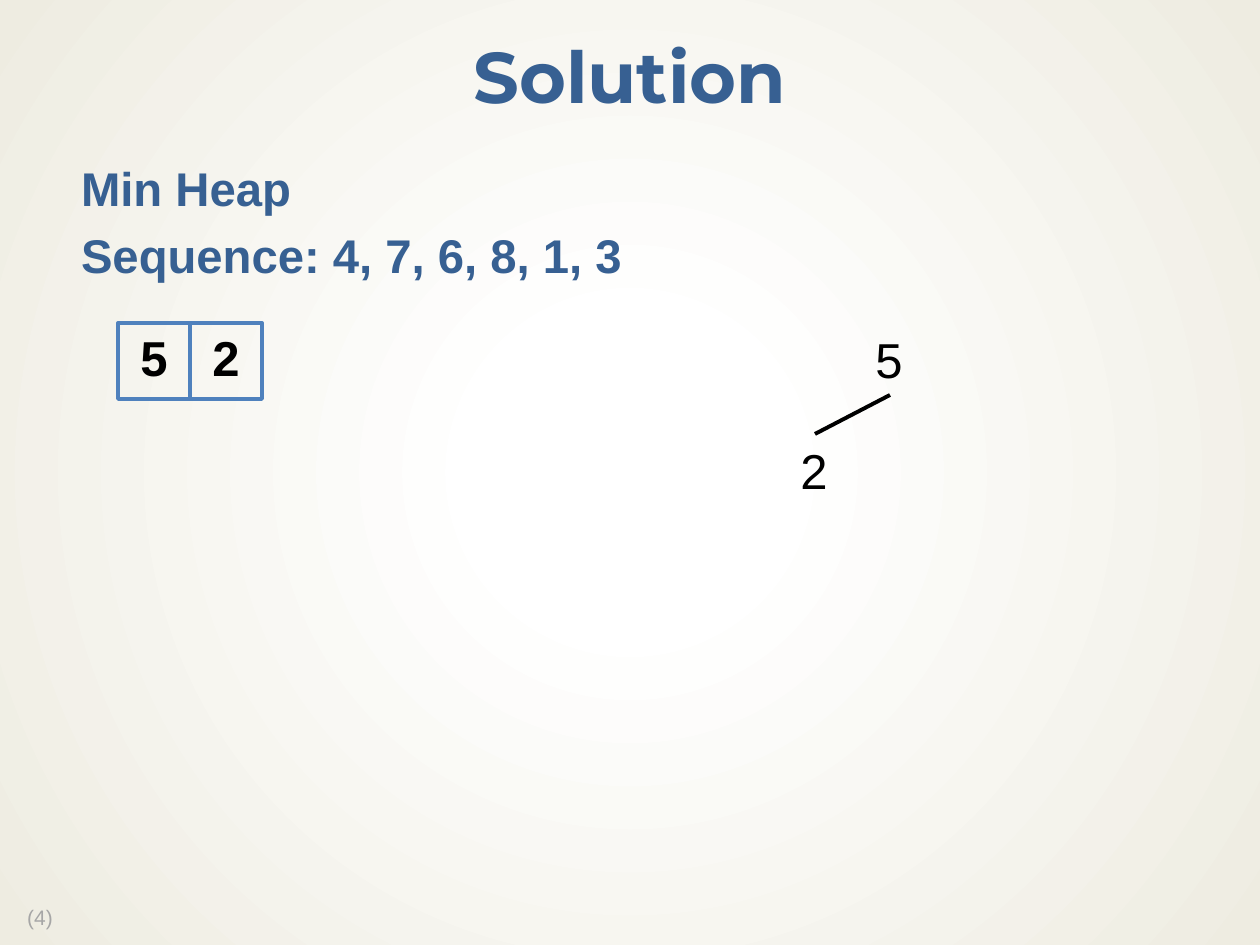
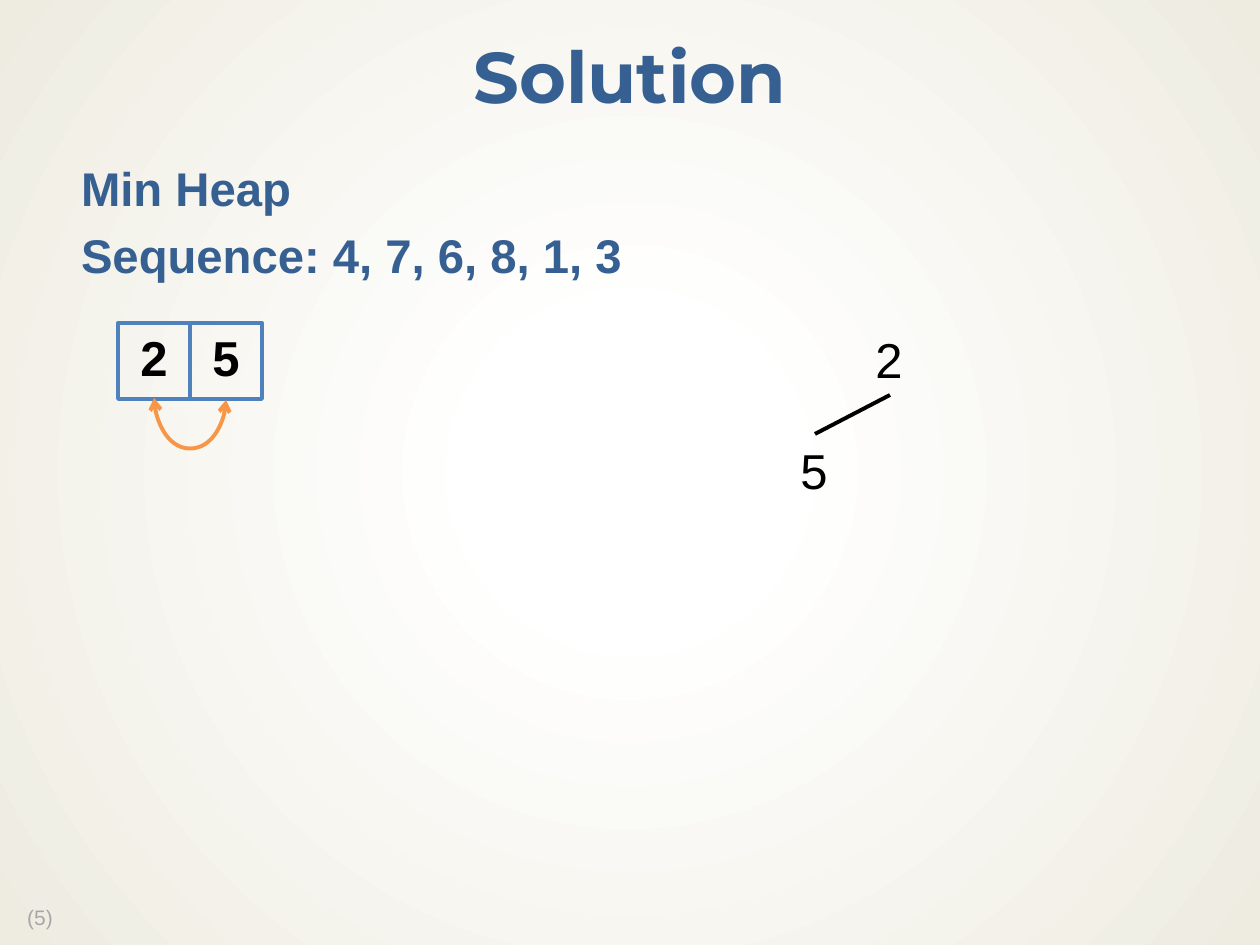
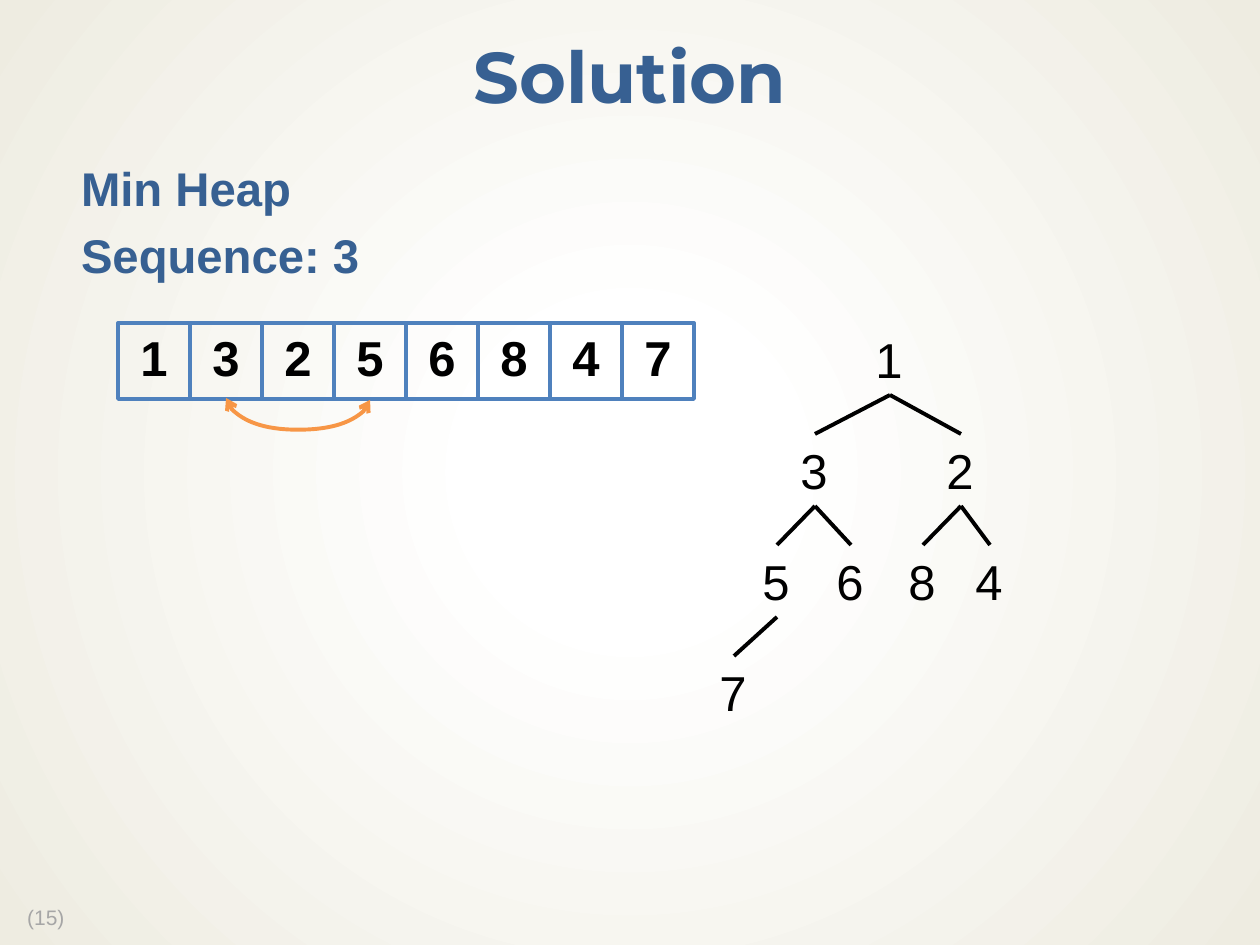
from dataclasses import dataclass
from typing import Any, Optional

from lxml import etree
from pptx import Presentation
from pptx.dml.color import RGBColor
from pptx.enum.shapes import MSO_CONNECTOR as Connector, MSO_SHAPE as Preset
from pptx.enum.text import MSO_ANCHOR as Anchor, MSO_AUTO_SIZE as AutoSize, PP_ALIGN as Align
from pptx.oxml import parse_xml
from pptx.oxml.ns import nsdecls, qn
from pptx.util import Emu, Pt

EMU_PER_PIXEL = 914400 / 126

BLUE = RGBColor(0x37, 0x60, 0x92)
CELL_BLUE = RGBColor(0x4F, 0x81, 0xBD)
ORANGE = RGBColor(0xF7, 0x96, 0x46)
BLACK = RGBColor(0x00, 0x00, 0x00)
GRAY = RGBColor(0xA6, 0xA6, 0xA6)
WHITE = RGBColor(0xFF, 0xFF, 0xFF)
CREAM = RGBColor(0xEE, 0xEC, 0xE1)

LINE_WIDTH = Pt(2.25)
LINE_SPACING = 0.9

TITLE_FONT = {"name": "Montserrat", "size": Pt(41), "bold": True}
BODY_FONT = {"name": "Arial", "size": Pt(27), "bold": True}
CELL_FONT = {"name": "Arial", "size": Pt(28), "bold": True}
NODE_FONT = {"name": "Arial", "size": Pt(28)}
NUMBER_FONT = {"name": "Arial", "size": Pt(12)}

ROW_LEFT, ROW_TOP = 118, 323
CELL_WIDTH, CELL_HEIGHT = 72, 76
NODE_WIDTH, NODE_HEIGHT = 53, 72
LEVEL_STEP = 111
NODE_CENTERS = (890, 815, 961, 777, 851, 923, 990, 734)
ARC_RISE = 2


@dataclass(frozen=True)
class Swap:
    first: int
    second: int
    depth: int


@dataclass(frozen=True)
class HeapStep:
    number: int
    sequence: str
    values: tuple[int, ...]
    swap: Optional[Swap] = None


STEPS = (
    HeapStep(4, "4, 7, 6, 8, 1, 3", (5, 2)),
    HeapStep(5, "4, 7, 6, 8, 1, 3", (2, 5), Swap(0, 1, 51)),
    HeapStep(15, "3", (1, 3, 2, 5, 6, 8, 4, 7), Swap(1, 3, 32)),
)


def px(pixels: float) -> Emu:
    return Emu(round(pixels * EMU_PER_PIXEL))


def apply_format(target: Any, values: dict[str, Any]) -> None:
    for name, value in values.items():
        setattr(target, name, value)


def place(shape: Any, left: int, top: int, width: int, height: int) -> None:
    box = {"left": left, "top": top, "width": width, "height": height}
    apply_format(shape, {name: px(value) for name, value in box.items()})


def write(paragraph: Any, text: str, font: dict[str, Any], color: RGBColor,
          **layout: Any) -> None:
    run = paragraph.add_run()
    run.text = text
    apply_format(run.font, font)
    run.font.color.rgb = color
    apply_format(paragraph, layout)


def set_insets(frame: Any, side: int, edge: int) -> None:
    apply_format(frame, {"margin_left": px(side), "margin_right": px(side),
                         "margin_top": px(edge), "margin_bottom": px(edge)})


def set_background(master: Any) -> None:
    fill = master.background.fill
    fill.gradient()
    old_gradient = master.element.find(".//" + qn("a:gradFill"))
    new_gradient = parse_xml(
        f'<a:gradFill {nsdecls("a")} rotWithShape="1"><a:gsLst>'
        f'<a:gs pos="18000"><a:srgbClr val="{WHITE}"><a:alpha val="53000"/></a:srgbClr></a:gs>'
        f'<a:gs pos="100000"><a:srgbClr val="{CREAM}"/></a:gs></a:gsLst>'
        '<a:path path="circle"><a:fillToRect l="50000" t="50000" r="50000" b="50000"/>'
        '</a:path></a:gradFill>')
    old_gradient.getparent().replace(old_gradient, new_gradient)


def add_title(slide: Any, text: str) -> None:
    title = slide.shapes.title
    place(title, 0, 21, 1260, 118)
    frame = title.text_frame
    apply_format(frame, {"vertical_anchor": Anchor.MIDDLE, "auto_size": AutoSize.NONE})
    set_insets(frame, 16, 8)
    write(frame.paragraphs[0], text, TITLE_FONT, BLUE,
          alignment=Align.CENTER, line_spacing=LINE_SPACING)


def add_body(slide: Any, lines: tuple[str, ...]) -> None:
    body = slide.placeholders[1]
    place(body, 48, 158, 1166, 712)
    frame = body.text_frame
    frame.auto_size = AutoSize.NONE
    set_insets(frame, 15, 8)
    for index, line in enumerate(lines):
        paragraph = frame.add_paragraph() if index else frame.paragraphs[0]
        write(paragraph, line, BODY_FONT, BLUE,
              line_spacing=LINE_SPACING, space_before=Pt(9))
        properties = paragraph._p.get_or_add_pPr()
        properties.set("marL", str(px(18)))
        properties.set("indent", str(px(-18)))
        etree.SubElement(properties, qn("a:buChar")).set("char", " ")


def add_label(slide: Any, left: int, top: int, width: int, height: int, text: str,
              font: dict[str, Any], color: RGBColor, **layout: Any) -> None:
    box = slide.shapes.add_textbox(px(left), px(top), px(width), px(height))
    apply_format(box.text_frame, {"word_wrap": False,
                                  "auto_size": AutoSize.SHAPE_TO_FIT_TEXT})
    write(box.text_frame.paragraphs[0], text, font, color, **layout)


def add_line(slide: Any, kind: Connector, start: tuple[float, float],
             end: tuple[float, float], color: RGBColor) -> Any:
    connector = slide.shapes.add_connector(kind, *map(px, (*start, *end)))
    connector.line.color.rgb = color
    connector.line.width = LINE_WIDTH
    etree.SubElement(connector.element.spPr, qn("a:effectLst"))
    return connector


def add_cells(slide: Any, values: tuple[int, ...]) -> None:
    for index, value in enumerate(values):
        cell = slide.shapes.add_shape(
            Preset.RECTANGLE, px(ROW_LEFT + index * CELL_WIDTH), px(ROW_TOP),
            px(CELL_WIDTH), px(CELL_HEIGHT))
        cell.shadow.inherit = False
        cell.fill.background()
        cell.line.color.rgb = CELL_BLUE
        cell.line.width = LINE_WIDTH
        cell.text_frame.vertical_anchor = Anchor.MIDDLE
        write(cell.text_frame.paragraphs[0], str(value), CELL_FONT, BLACK,
              alignment=Align.CENTER, line_spacing=LINE_SPACING)


def add_swap(slide: Any, swap: Swap) -> None:
    span = (swap.second - swap.first) * CELL_WIDTH
    center = ROW_LEFT + (swap.first + swap.second + 1) * CELL_WIDTH / 2
    middle = ROW_TOP + CELL_HEIGHT
    arc = add_line(slide, Connector.CURVE,
                   (center + ARC_RISE / 2, middle - span / 2),
                   (center - ARC_RISE / 2, middle + span / 2), ORANGE)
    properties = arc.element.spPr
    properties.find(qn("a:xfrm")).set("rot", "16200000")
    guides = properties.find(qn("a:prstGeom")).get_or_add_avLst()
    guide = etree.SubElement(guides, qn("a:gd"))
    guide.set("name", "adj1")
    guide.set("fmla", f"val {swap.depth * 100000 // ARC_RISE}")
    outline = properties.find(qn("a:ln"))
    for tag in ("a:headEnd", "a:tailEnd"):
        etree.SubElement(outline, qn(tag)).set("type", "arrow")


def node_top(index: int) -> int:
    level = (index + 1).bit_length() - 1
    return ROW_TOP + level * LEVEL_STEP


def add_tree(slide: Any, values: tuple[int, ...]) -> None:
    for index, value in enumerate(values):
        center, top = NODE_CENTERS[index], node_top(index)
        add_label(slide, center - NODE_WIDTH // 2 - 1, top, NODE_WIDTH, NODE_HEIGHT,
                  str(value), NODE_FONT, BLACK)
        if index:
            parent = (index - 1) // 2
            add_line(slide, Connector.STRAIGHT,
                     (NODE_CENTERS[parent], node_top(parent) + NODE_HEIGHT),
                     (center, top), BLACK)


def add_step(presentation: Any, step: HeapStep) -> None:
    slide = presentation.slides.add_slide(presentation.slide_layouts[1])
    add_label(slide, 9, 901, 71, 35, f" ({step.number})", NUMBER_FONT, GRAY,
              line_spacing=LINE_SPACING)
    add_title(slide, "Solution")
    add_body(slide, ("Min Heap", f"Sequence: {step.sequence}"))
    add_cells(slide, step.values)
    add_tree(slide, step.values)
    if step.swap:
        add_swap(slide, step.swap)


def main() -> None:
    presentation = Presentation()
    presentation.slide_width = px(1260)
    presentation.slide_height = px(945)
    set_background(presentation.slide_master)
    for step in STEPS:
        add_step(presentation, step)
    presentation.save("out.pptx")


main()
